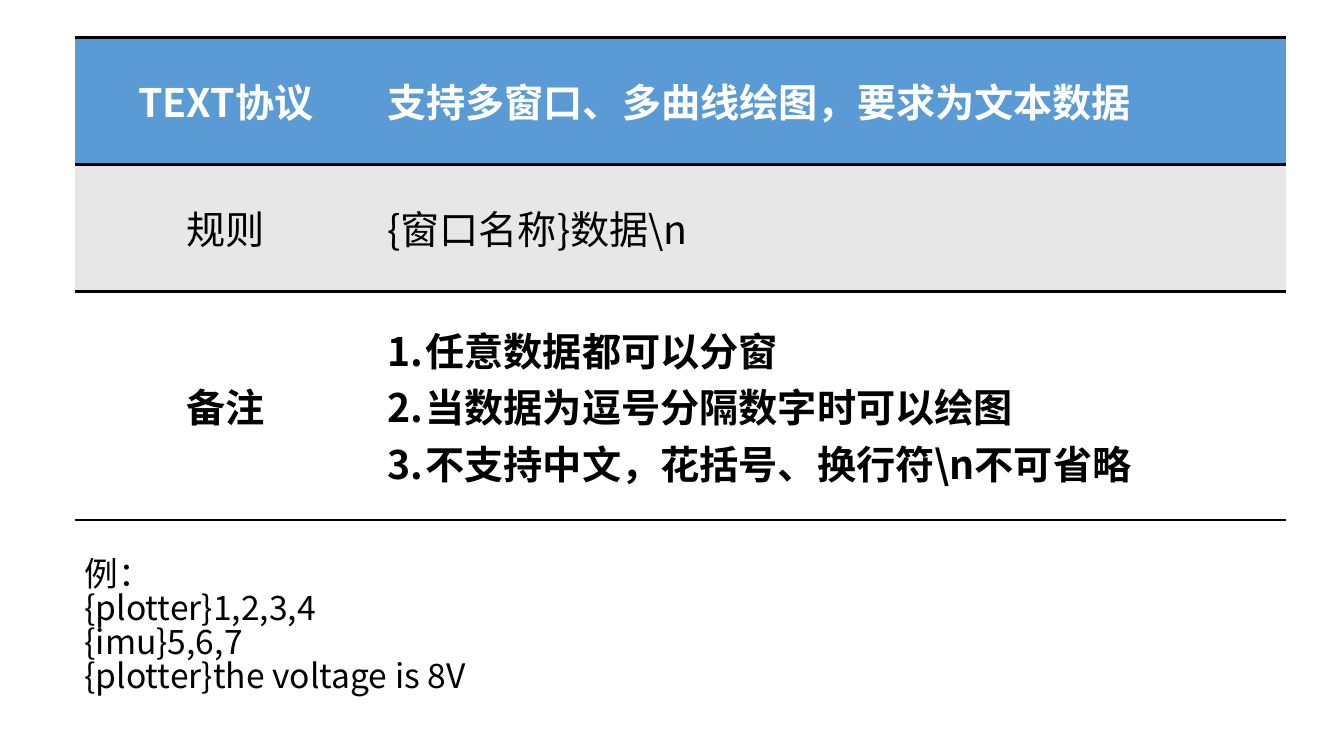
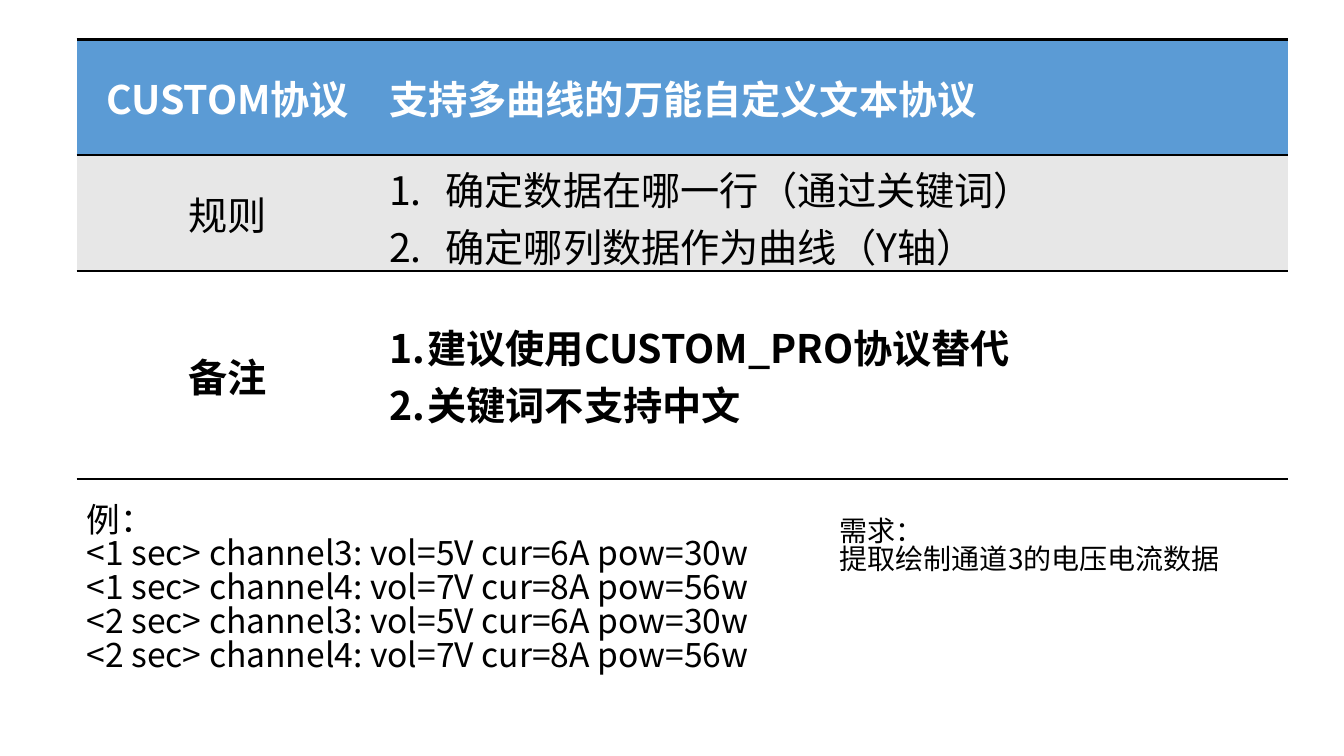
from dataclasses import dataclass

from lxml import etree
from pptx import Presentation
from pptx import util as u
from pptx.dml import color
from pptx.enum import text
from pptx.oxml import ns

PX = 9144  # EMU per px, 100 px to the inch
FONT = "Noto Sans CJK SC"
BLACK, WHITE, BLUE, GREY = "000000", "FFFFFF", "5B9BD5", "E7E7E7"
COLUMN_WIDTHS = (300, 901)
TABLE_FONT_SIZE = 28
BORDER_POINTS = 2
NO_STYLE_NO_GRID = "{2D5ABB26-0587-4C30-8999-92F81FD0307C}"
BOX_LINE_SPACING = 0.84


@dataclass(frozen=True)
class Row:
    height: int
    label: str
    lines: tuple[str, ...]
    hanging: int = 0  # hanging indent of numbered lines, 0 for plain lines


@dataclass(frozen=True)
class RowStyle:
    fill: str
    font_color: str
    bold: bool
    borders: tuple[str, ...]


@dataclass(frozen=True)
class Note:
    left: int
    top: int
    width: int
    height: int
    size: int
    lines: tuple[str, ...]


@dataclass(frozen=True)
class ProtocolPage:
    left: int
    top: int
    rows: tuple[Row, Row, Row]
    notes: tuple[Note, ...]


ROW_STYLES = (
    RowStyle(BLUE, WHITE, True, ("lnT", "lnB")),
    RowStyle(GREY, BLACK, False, ("lnT",)),
    RowStyle(WHITE, BLACK, True, ("lnB",)),
)

PAGES = (
    ProtocolPage(
        74, 37,
        (
            Row(126, "TEXT协议", ("支持多窗口、多曲线绘图，要求为文本数据",)),
            Row(126, "规则", ("{窗口名称}数据\\n",)),
            Row(227, "备注", (
                "任意数据都可以分窗",
                "当数据为逗号分隔数字时可以绘图",
                "不支持中文，花括号、换行符\\n不可省略",
            ), 38),
        ),
        (
            Note(74, 550, 667, 172, 24, (
                "例：",
                "{plotter}1,2,3,4",
                "{imu}5,6,7",
                "{plotter}the voltage is 8V",
            )),
        ),
    ),
    ProtocolPage(
        76, 39,
        (
            Row(115, "CUSTOM协议", ("支持多曲线的万能自定义文本协议",)),
            Row(115, "规则", (
                "确定数据在哪一行（通过关键词）",
                "确定哪列数据作为曲线（Y轴）",
            ), 56),
            Row(206, "备注", (
                "建议使用CUSTOM_PRO协议替代",
                "关键词不支持中文",
            ), 38),
        ),
        (
            Note(76, 496, 1041, 212, 24, (
                "例：",
                "<1 sec> channel3: vol=5V cur=6A pow=30w",
                "<1 sec> channel4: vol=7V cur=8A pow=56w",
                "<2 sec> channel3: vol=5V cur=6A pow=30w",
                "<2 sec> channel4: vol=7V cur=8A pow=56w",
            )),
            Note(823, 510, 487, 77, 20, (
                "需求：",
                "提取绘制通道3的电压电流数据",
            )),
        ),
    ),
)


def px(length: int) -> u.Emu:
    return u.Emu(length * PX)


def rgb(value: str) -> color.RGBColor:
    return color.RGBColor.from_string(value)


def set_font(paragraph, size: int, font_color: str, bold: bool = False) -> None:
    font = paragraph.font
    font.name = FONT
    font.size = u.Pt(size)
    font.bold = bold
    font.color.rgb = rgb(font_color)
    defaults = paragraph._p.pPr.find(ns.qn("a:defRPr"))
    etree.SubElement(defaults, ns.qn("a:ea"), typeface=FONT)


def number_paragraph(paragraph, hanging: int) -> None:
    properties = paragraph._p.get_or_add_pPr()
    properties.set("marL", str(px(hanging)))
    properties.set("indent", str(-px(hanging)))
    etree.SubElement(properties, ns.qn("a:buFont"), typeface=FONT)
    etree.SubElement(properties, ns.qn("a:buAutoNum"), type="arabicPeriod")


def write_lines(frame, lines: tuple[str, ...]) -> list:
    """Put each line in its own paragraph and return the paragraphs."""
    frame.text = "\n".join(lines)
    return list(frame.paragraphs)


def style_cell(cell, style: RowStyle) -> None:
    cell.vertical_anchor = text.MSO_ANCHOR.MIDDLE
    properties = cell._tc.get_or_add_tcPr()
    for edge in style.borders:
        line = etree.SubElement(properties, ns.qn(f"a:{edge}"), w=str(u.Pt(BORDER_POINTS)))
        fill = etree.SubElement(line, ns.qn("a:solidFill"))
        etree.SubElement(fill, ns.qn("a:srgbClr"), val=BLACK)
    cell.fill.solid()
    cell.fill.fore_color.rgb = rgb(style.fill)


def fill_cell(cell, lines: tuple[str, ...], style: RowStyle,
              hanging: int = 0, centered: bool = False) -> None:
    style_cell(cell, style)
    for paragraph in write_lines(cell.text_frame, lines):
        if centered:
            paragraph.alignment = text.PP_ALIGN.CENTER
        if hanging:
            number_paragraph(paragraph, hanging)
        set_font(paragraph, TABLE_FONT_SIZE, style.font_color, style.bold)


def add_protocol_table(slide, page: ProtocolPage) -> None:
    height = sum(row.height for row in page.rows)
    frame = slide.shapes.add_table(
        len(page.rows), len(COLUMN_WIDTHS),
        px(page.left), px(page.top), px(sum(COLUMN_WIDTHS)), px(height))
    table = frame.table
    table._tbl.tblPr.find(ns.qn("a:tableStyleId")).text = NO_STYLE_NO_GRID
    for column, width in zip(table.columns, COLUMN_WIDTHS):
        column.width = px(width)
    for index, (row, style) in enumerate(zip(page.rows, ROW_STYLES)):
        table.rows[index].height = px(row.height)
        fill_cell(table.cell(index, 0), (row.label,), style, centered=True)
        fill_cell(table.cell(index, 1), row.lines, style, row.hanging)


def add_note(slide, note: Note) -> None:
    box = slide.shapes.add_textbox(
        px(note.left), px(note.top), px(note.width), px(note.height))
    frame = box.text_frame
    frame.word_wrap = True
    for paragraph in write_lines(frame, note.lines):
        paragraph.line_spacing = BOX_LINE_SPACING
        set_font(paragraph, note.size, BLACK)


def main() -> None:
    presentation = Presentation()
    presentation.slide_width = px(1333)
    presentation.slide_height = px(750)
    blank_layout = presentation.slide_layouts[6]
    for page in PAGES:
        slide = presentation.slides.add_slide(blank_layout)
        add_protocol_table(slide, page)
        for note in page.notes:
            add_note(slide, note)
    presentation.save("out.pptx")


if __name__ == "__main__":
    main()
